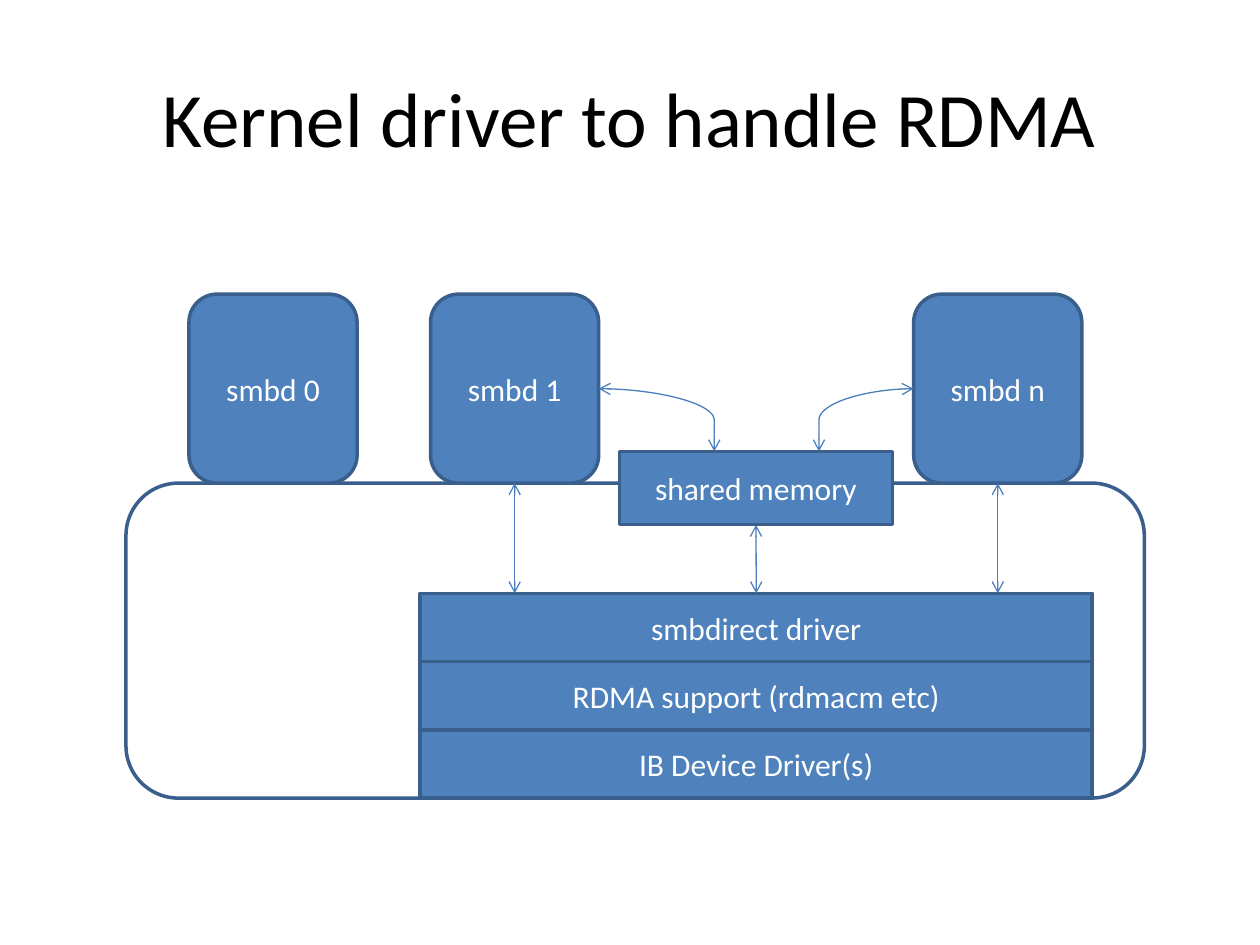
from dataclasses import dataclass

from lxml import etree
from pptx import Presentation
from pptx import util as u
from pptx.dml.color import RGBColor
from pptx.enum import shapes, text
from pptx.oxml.ns import qn


@dataclass(frozen=True)
class Theme:
    font: str = "Calibri"
    ink: str = "000000"
    label: str = "FFFFFF"
    fill: str = "4F81BD"
    edge: str = "3A5F8C"
    link: str = "4B7EBC"
    head: int = 44
    body: int = 18
    thick: float = 2
    thin: float = 0.75


class Deck:
    """Holds the theme, the current slide and its diagram group."""

    def __init__(self, theme):
        self.theme = theme
        self.file = Presentation()
        self.file.slide_width = u.Cm(25.4)
        self.file.slide_height = u.Cm(19.05)
        self.slide = self.file.slides.add_slide(self.file.slide_layouts[5])
        self.group = self.slide.shapes.add_group_shape().shapes

    def label(self, shape, words, size, color):
        frame = shape.text_frame
        frame.text = words
        frame.word_wrap = True
        frame.vertical_anchor = text.MSO_ANCHOR.MIDDLE
        line = frame.paragraphs[0]
        line.alignment = text.PP_ALIGN.CENTER
        font = line.runs[0].font
        font.name = self.theme.font
        font.size = u.Pt(size)
        font.color.rgb = RGBColor.from_string(color)

    def title(self, words, *box):
        shape = self.slide.shapes.title
        shape.left, shape.top, shape.width, shape.height = map(u.Cm, box)
        self.label(shape, words, self.theme.head, self.theme.ink)

    def block(self, kind, words, *box):
        """Draws a filled block, or an empty outline if there are no words."""
        shape = self.group.add_shape(kind, *map(u.Cm, box))
        shape.shadow.inherit = False
        shape.line.color.rgb = RGBColor.from_string(self.theme.edge)
        shape.line.width = u.Pt(self.theme.thick)
        if words:
            shape.fill.solid()
            shape.fill.fore_color.rgb = RGBColor.from_string(self.theme.fill)
            self.label(shape, words, self.theme.body, self.theme.label)
        else:
            shape.fill.background()
        return shape

    def arrow(self, start, side, stop, goal=None, bend=False):
        """Links a side of start to a point, or to side goal of a block."""
        kind = shapes.MSO_CONNECTOR.CURVE if bend else shapes.MSO_CONNECTOR.STRAIGHT
        link = self.group.add_connector(kind, 0, 0, 0, 0)
        link.begin_connect(start, side)
        if goal is None:
            link.end_x, link.end_y = stop
        else:
            link.end_connect(stop, goal)
        link.line.color.rgb = RGBColor.from_string(self.theme.link)
        link.line.width = u.Pt(self.theme.thin)
        props = link._element.spPr
        if bend:
            guides = props.find(qn("a:prstGeom")).find(qn("a:avLst"))
            etree.SubElement(guides, qn("a:gd"), name="adj1", fmla="val 100000")
        stroke = props.find(qn("a:ln"))
        for tip in ("a:headEnd", "a:tailEnd"):
            etree.SubElement(stroke, qn(tip), type="arrow")
        etree.SubElement(props, qn("a:effectLst"))

    def fit(self):
        """Shrinks the group to what it holds."""
        self.group._recalculate_extents()

    def save(self):
        self.fit()
        self.file.save("out.pptx")


def main():
    deck = Deck(Theme())
    rect = shapes.MSO_SHAPE.RECTANGLE
    soft = shapes.MSO_SHAPE.ROUNDED_RECTANGLE
    deck.title("Kernel driver to handle RDMA", 1.27, 0.76, 22.86, 3.18)

    floor, base, top = 9.74, 16.09, 11.96
    deck.block(soft, "", 2.54, floor, 20.53, base - floor)

    tall, step = 3.81, 4.87
    smbd = {}
    for col, name in ((0, "0"), (1, "1"), (3, "n")):
        smbd[name] = deck.block(soft, f"smbd {name}", 3.81 + col * step,
                                floor - tall, 3.39, tall)

    shared = deck.block(rect, "shared memory", 12.49, 9.1, 5.5, 1.48)

    names = ("smbdirect driver", "RDMA support (rdmacm etc)", "IB Device Driver(s)")
    high = (base - top) / len(names)
    stack = [deck.block(rect, name, 8.47, top + row * high, 13.55, high)
             for row, name in enumerate(names)]
    driver = stack[0]

    for name, side, x in (("1", 3, 14.4), ("n", 1, 16.51)):
        proc = smbd[name]
        mid = proc.left + proc.width // 2
        deck.arrow(proc, 2, (mid, driver.top))
        deck.arrow(proc, side, (u.Cm(x), shared.top), bend=True)
    deck.arrow(shared, 2, driver, goal=0)
    deck.save()


if __name__ == "__main__":
    main()
